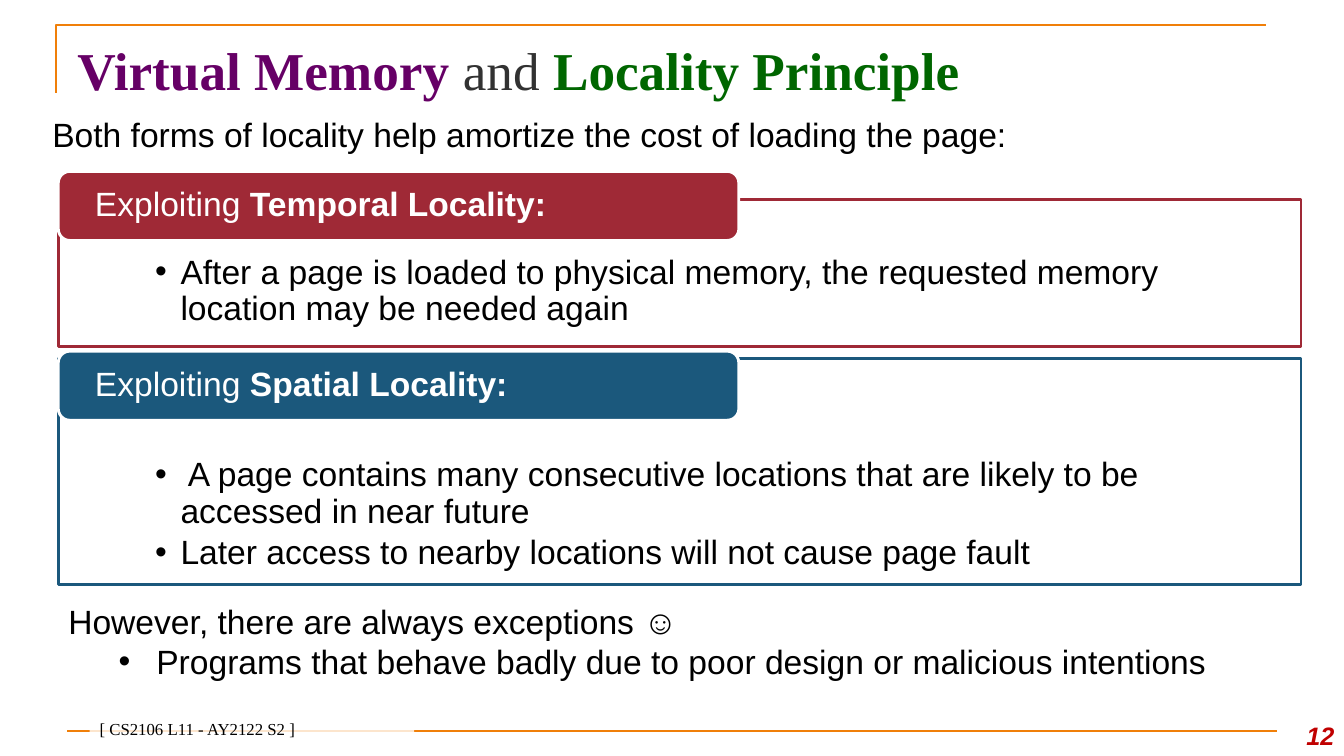
from dataclasses import dataclass

import pptx
import pptx.dml.color
import pptx.enum.shapes
import pptx.enum.text
import pptx.oxml
import pptx.oxml.ns
import pptx.util

Cm, Pt = pptx.util.Cm, pptx.util.Pt
Kind = pptx.enum.shapes.MSO_SHAPE
Anchor = pptx.enum.text.MSO_ANCHOR
Align = pptx.enum.text.PP_ALIGN
Fit = pptx.enum.text.MSO_AUTO_SIZE

HUES = {
    "white": "FFFFFF", "black": "000000", "grey": "323232",
    "orange": "F07F09", "red": "9F2936", "blue": "1B587C",
    "purple": "660066", "green": "006600", "number": "C00000",
}
SANS, SERIF = "Arial", "Times New Roman"


@dataclass
class Box:
    left: float
    top: float
    width: float
    height: float

    def emu(self) -> tuple:
        return Cm(self.left), Cm(self.top), Cm(self.width), Cm(self.height)


@dataclass
class Span:
    text: str
    hue: str = "black"
    bold: bool = False
    size: float = 24
    face: str = SANS
    slant: bool = False


@dataclass
class Panel:
    hue: str
    name: str
    tab: float
    top: float
    height: float
    inset: float
    points: list


def color(hue: str):
    return pptx.dml.color.RGBColor.from_string(HUES[hue])


def node(tag: str, **attrs):
    item = pptx.oxml.parse_xml(f"<a:{tag} {pptx.oxml.ns.nsdecls('a')}/>")
    for key, value in attrs.items():
        item.set(key, str(value))
    return item


def write(para, spans: list) -> None:
    for span in spans:
        run = para.add_run()
        run.text = span.text
        font = run.font
        font.name, font.size = span.face, Pt(span.size)
        font.bold, font.italic = span.bold, span.slant
        font.color.rgb = color(span.hue)


def indent(para, left: float, hang: float, mark: str = "") -> None:
    props = para._p.get_or_add_pPr()
    props.set("marL", str(Cm(left)))
    props.set("indent", str(-Cm(hang)))
    if mark:
        props.append(node("buFont", typeface=SANS))
        props.append(node("buChar", char=mark))
    else:
        props.append(node("buNone"))


def frame(shape, anchor=Anchor.TOP, inset: tuple = (0.25, 0.13, 0.25, 0.13)):
    text = shape.text_frame
    text.word_wrap, text.auto_size = True, Fit.NONE
    text.vertical_anchor = anchor
    text.margin_left, text.margin_top, text.margin_right, text.margin_bottom = map(Cm, inset)
    return text


def place(shape, box: Box) -> None:
    shape.left, shape.top, shape.width, shape.height = box.emu()


def block(slide, kind, box: Box, fill: str, edge: str = "", alpha: int = 100):
    shape = slide.shapes.add_shape(kind, *box.emu())
    shape.shadow.inherit = False
    shape.fill.solid()
    shape.fill.fore_color.rgb = color(fill)
    if alpha < 100:
        tint = shape._element.spPr.find(".//" + pptx.oxml.ns.qn("a:srgbClr"))
        tint.append(node("alpha", val=alpha * 1000))
    if edge:
        shape.line.color.rgb = color(edge)
        shape.line.width = Pt(2)
    else:
        shape.line.fill.background()
    return shape


def label(slide, box: Box, span: Span, anchor=Anchor.TOP, align=Align.LEFT) -> None:
    para = frame(slide.shapes.add_textbox(*box.emu()), anchor).paragraphs[0]
    para.alignment = align
    write(para, [span])


def rules(slide) -> None:
    path = slide.shapes.build_freeform(Cm(1.42), Cm(2.34), scale=1.0)
    path.add_line_segments([(Cm(1.42), Cm(0.64)), (Cm(31.9), Cm(0.64))], close=False)
    bracket = path.convert_to_shape()
    bracket.shadow.inherit = False
    bracket.fill.background()
    base = slide.shapes.add_connector(
        pptx.enum.shapes.MSO_CONNECTOR.STRAIGHT, Cm(1.7), Cm(18.42), Cm(32.18), Cm(18.42))
    base._element.spPr.append(node("effectLst"))
    for rule in (bracket, base):
        rule.line.color.rgb = color("orange")
        rule.line.width = Pt(1.5)


def draw(slide, panel: Panel) -> None:
    box = Box(1.47, panel.top, 31.32, panel.height)
    body = block(slide, Kind.RECTANGLE, box, "white", panel.hue, 90)
    text = frame(body, inset=(2.44, panel.inset, 2.44, 0.48))
    for i, point in enumerate(panel.points):
        para = text.add_paragraph() if i else text.paragraphs[0]
        indent(para, 0.64, 0.64, "•")
        para.alignment = Align.LEFT
        para.line_spacing, para.space_after = 0.9, Pt(3.6)
        write(para, [Span(point)])
    tab = block(slide, Kind.ROUNDED_RECTANGLE, Box(1.47, panel.tab, 17.15, 1.74),
                panel.hue, "white")
    para = frame(tab, Anchor.MIDDLE, (0.84, 0, 0.84, 0)).paragraphs[0]
    para.alignment, para.line_spacing = Align.LEFT, 0.9
    write(para, [Span("Exploiting ", "white"), Span(panel.name, "white", True)])


def main() -> None:
    deck = pptx.Presentation()
    deck.slide_width, deck.slide_height = Cm(33.87), Cm(19.05)
    slide = deck.slides.add_slide(deck.slide_layouts[1])
    title, body = slide.placeholders

    place(title, Box(1.7, 0.76, 30.48, 1.98))
    para = frame(title, Anchor.MIDDLE).paragraphs[0]
    para.alignment = Align.LEFT
    write(para, [Span("Virtual Memory ", "purple", True, 38, SERIF),
                 Span("and ", "grey", False, 38, SERIF),
                 Span("Locality Principle", "green", True, 38, SERIF)])

    place(body, Box(1.47, 15.01, 30.48, 2.34))
    text = frame(body)
    head, item = text.paragraphs[0], text.add_paragraph()
    item.level = 1
    indent(head, 0, 0)
    indent(item, 2.22, 0.95, "•")
    write(head, [Span("However, there are always exceptions ☺")])
    write(item, [Span("Programs that behave badly due to poor design or malicious intentions")])
    for para in (head, item):
        para.space_before = Pt(0)

    rules(slide)
    label(slide, Box(1.07, 2.74, 26.47, 1.27),
          Span("Both forms of locality help amortize the cost of loading the page:"))
    panels = [
        Panel("red", "Temporal Locality:", 4.32, 5.03, 3.71, 1.4, [
            "After a page is loaded to physical memory, the requested memory location "
            "may be needed again"]),
        Panel("blue", "Spatial Locality:", 8.85, 9.04, 5.69, 2.5, [
            " A page contains many consecutive locations that are likely to be "
            "accessed in near future",
            "Later access to nearby locations will not cause page fault"]),
    ]
    for panel in panels:
        draw(slide, panel)

    foot = block(slide, Kind.RECTANGLE, Box(2.26, 18.11, 8.18, 0.64), "white", alpha=80)
    para = frame(foot, Anchor.BOTTOM).paragraphs[0]
    para.alignment = Align.LEFT
    write(para, [Span("[ CS2106 L11 - AY2122 S2 ]", size=12, face=SERIF)])
    label(slide, Box(31.9, 17.78, 1.98, 1.27),
          Span("12", "number", True, 18, slant=True), Anchor.BOTTOM, Align.RIGHT)
    deck.save("out.pptx")


if __name__ == "__main__":
    main()
